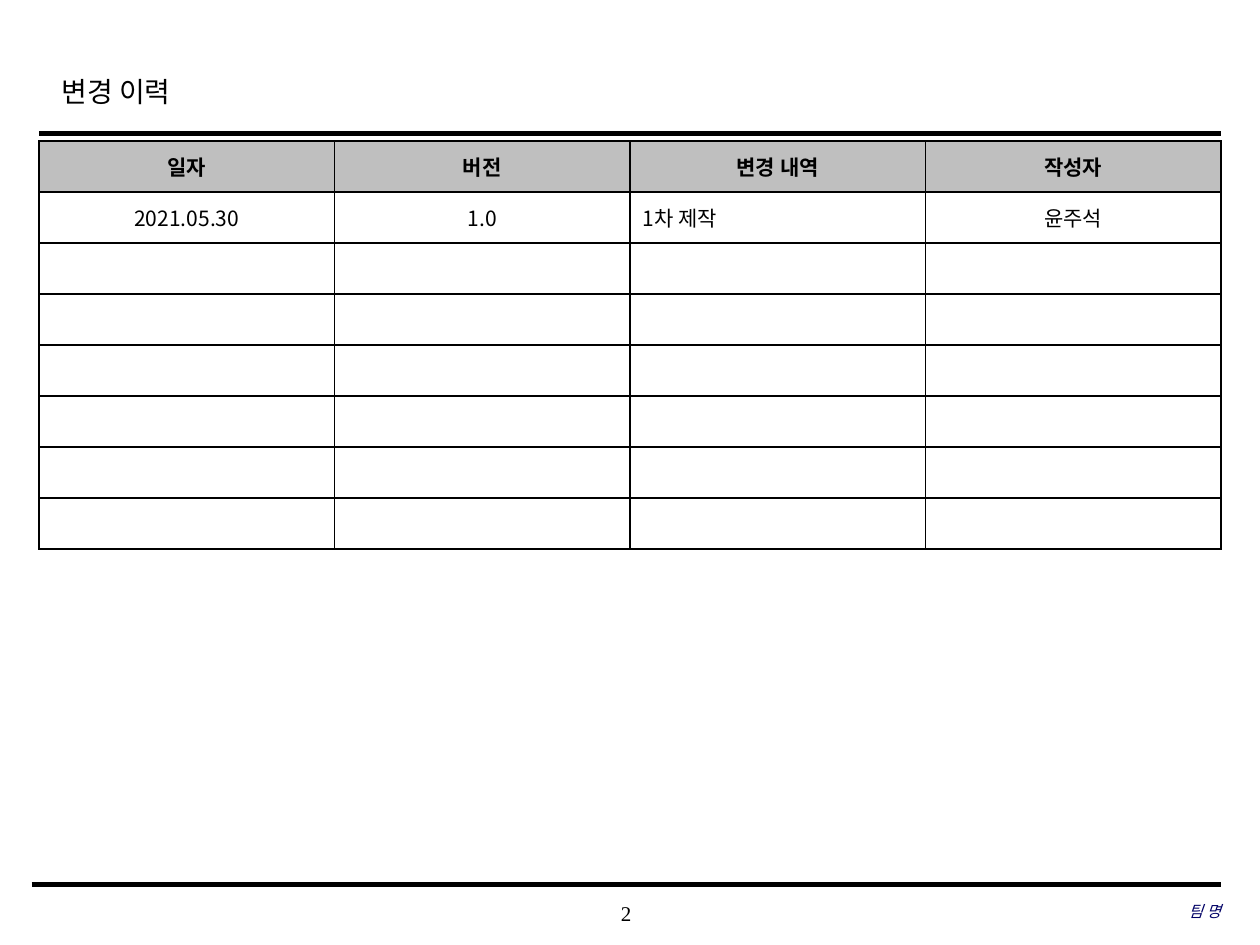
from lxml.etree import SubElement
from pptx import Presentation
from pptx.dml.color import RGBColor
from pptx.enum.shapes import MSO_CONNECTOR
from pptx.enum.text import MSO_ANCHOR, PP_ALIGN
from pptx.oxml.ns import qn
from pptx.util import Inches, Pt

COLORS = {"ink": "000000", "team": "000066", "header": "BFBFBF", "body": "FFFFFF"}
SERIF, SANS = "Times New Roman", "Noto Sans CJK KR"
LEFT, RIGHT = 0.31, 9.69
COLUMNS, ROWS = 4, 8
TABLE_TOP, TABLE_HEIGHT = 1.12, 3.24
RECORDS = [
    ["일자", "버전", "변경 내역", "작성자"],
    ["2021.05.30", "1.0", "1차 제작", "윤주석"],
]


def color(name):
    """Return the named colour."""
    return RGBColor.from_string(COLORS[name])


def write(para, text, size, font, ink="ink", bold=False, italic=False):
    """Put formatted text into a paragraph."""
    para.text = text
    for span in para.runs:
        span.font.size, span.font.name = Pt(size), font
        span.font.bold, span.font.italic = bold, italic
        span.font.color.rgb = color(ink)
        east_asian = SubElement(span.font._element, qn("a:ea"))
        east_asian.set("typeface", SANS)


def add_label(page, area, text, size, align, inset=0, anchor=MSO_ANCHOR.MIDDLE, **style):
    """Add a text box and return its paragraph."""
    box = page.shapes.add_textbox(*(Inches(length) for length in area))
    frame = box.text_frame
    frame.word_wrap = True
    frame.vertical_anchor = anchor
    frame.margin_left = frame.margin_right = Inches(inset)
    frame.margin_top = frame.margin_bottom = Inches(inset / 2)
    para = frame.paragraphs[0]
    para.alignment = align
    write(para, text, size, SERIF, **style)
    return para


def add_rule(page, left, top, weight):
    """Draw a horizontal rule that ends at the right margin."""
    rule = page.shapes.add_connector(
        MSO_CONNECTOR.STRAIGHT, Inches(left), Inches(top), Inches(RIGHT), Inches(top))
    rule.line.color.rgb = color("ink")
    rule.line.width = Pt(weight)
    SubElement(rule._element.spPr, qn("a:effectLst"))


def add_borders(cell):
    """Outline a cell with one-point lines."""
    properties = cell._tc.get_or_add_tcPr()
    for side in ("lnL", "lnR", "lnT", "lnB"):
        edge = SubElement(properties, qn(f"a:{side}"), w=str(Pt(1)))
        fill = SubElement(edge, qn("a:solidFill"))
        SubElement(fill, qn("a:srgbClr"), val=COLORS["ink"])


def fill_cell(cell, text, header, align):
    """Style a table cell and write its text."""
    add_borders(cell)
    cell.fill.solid()
    cell.fill.fore_color.rgb = color("header" if header else "body")
    cell.vertical_anchor = MSO_ANCHOR.MIDDLE
    para = cell.text_frame.paragraphs[0]
    para.alignment = align
    if text:
        write(para, text, 12, SANS, bold=header)
    else:
        SubElement(para._p, qn("a:endParaRPr"), sz="1200")


def add_history(page):
    """Add the change history table."""
    frame = page.shapes.add_table(
        ROWS, COLUMNS, Inches(LEFT), Inches(TABLE_TOP),
        Inches(RIGHT - LEFT), Inches(TABLE_HEIGHT))
    table = frame.table
    for column in table.columns:
        column.width = Inches((RIGHT - LEFT) / COLUMNS)
    for row_index, row in enumerate(table.rows):
        row.height = Inches(TABLE_HEIGHT / ROWS)
        record = RECORDS[row_index] if row_index < len(RECORDS) else [""] * COLUMNS
        for column_index, (cell, text) in enumerate(zip(row.cells, record)):
            header = row_index == 0
            description = column_index == 2 and not header
            fill_cell(cell, text, header, PP_ALIGN.LEFT if description else PP_ALIGN.CENTER)


def main():
    """Build and save the change history slide."""
    deck = Presentation()
    deck.slide_width, deck.slide_height = Inches(10), Inches(7.5)
    page = deck.slides.add_slide(deck.slide_layouts[6])
    add_label(page, (3.93, 7.08, 2.08, 0.33), "2", 12, PP_ALIGN.CENTER)
    add_rule(page, LEFT, 1.06, 2.5)
    add_rule(page, 0.25, 7.02, 3)
    title = add_label(page, (0.39, 0.49, 7.55, 0.5), "변경 이력", 16, PP_ALIGN.LEFT,
                      inset=0.1, anchor=MSO_ANCHOR.TOP)
    title.line_spacing = 1.2
    add_label(page, (6.63, 7.07, 3.06, 0.33), "팀 명", 9, PP_ALIGN.RIGHT,
              ink="team", italic=True)
    add_history(page)
    deck.save("out.pptx")


main()
